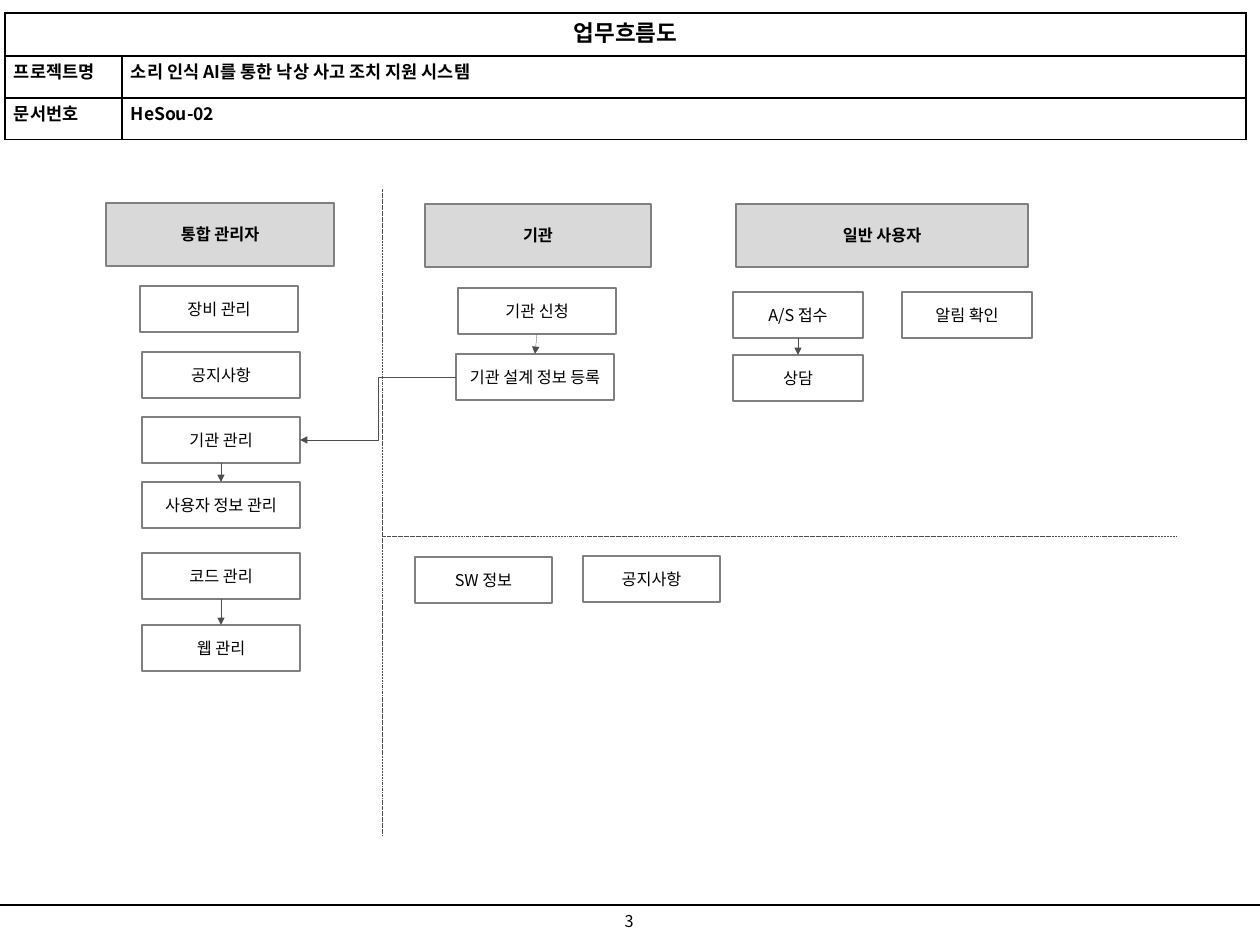
import pptx
import pptx.util
import pptx.dml.color
import pptx.enum.dml
import pptx.enum.shapes
import pptx.enum.text
import pptx.oxml
import pptx.oxml.ns

PX = 10160  # 90 px to the inch
FONT = "Noto Sans CJK KR"
COLORS = {"ink": "000000", "paper": "FFFFFF", "header": "D9D9D9",
          "border": "808080", "arrow": "4D4D4D"}

TITLE = "업무흐름도"
DOC_INFO = [("프로젝트명", "소리 인식 AI를 통한 낙상 사고 조치 지원 시스템"),
            ("문서번호", "HeSou-02")]
TABLE_POS, COL_WIDTHS, ROW_HEIGHTS = (5, 13), (117, 1124), (43, 42, 42)

HEADER_H, STEP_H = 63, 46
# text, left, top, width
HEADERS = [("통합 관리자", 106, 203, 228),
           ("기관", 425, 204, 226),
           ("일반 사용자", 736, 204, 292)]
# key: text, left, top, width
STEPS = {
    "device": ("장비 관리", 140, 286, 158),
    "admin_notice": ("공지사항", 142, 352, 158),
    "agency": ("기관 관리", 142, 417, 158),
    "user_info": ("사용자 정보 관리", 142, 482, 158),
    "code": ("코드 관리", 142, 553, 158),
    "web": ("웹 관리", 142, 625, 158),
    "apply": ("기관 신청", 458, 288, 158),
    "register": ("기관 설계 정보 등록", 456, 354, 158),
    "service": ("A/S 접수", 733, 292, 130),
    "consult": ("상담", 733, 355, 130),
    "alarm": ("알림 확인", 902, 292, 130),
    "software": ("SW 정보", 415, 557, 137),
    "notice": ("공지사항", 583, 556, 137),
}
TOP, LEFT, BOTTOM, RIGHT = range(4)
FLOWS = [("agency", BOTTOM, "user_info", TOP),
         ("code", BOTTOM, "web", TOP),
         ("apply", BOTTOM, "register", TOP),
         ("service", BOTTOM, "consult", TOP),
         ("register", LEFT, "agency", RIGHT)]
DIVIDERS = [(382, 189, 382, 836), (382, 536, 1176, 536)]
FOOTER_Y, PAGE_NUMBER = 905, "3"


def rgb(name):
    return pptx.dml.color.RGBColor.from_string(COLORS[name])


def px(*values):
    """Turn px lengths into EMU."""
    return [pptx.util.Emu(v * PX) for v in values]


def element(tag, attributes="", body=""):
    """Make one DrawingML element."""
    ns = pptx.oxml.ns.nsdecls("a")
    return pptx.oxml.parse_xml(f"<a:{tag} {ns} {attributes}>{body}</a:{tag}>")


def write(tf, text, size, bold=False, centered=True):
    p = tf.paragraphs[0]
    if centered:
        p.alignment = pptx.enum.text.PP_ALIGN.CENTER
    r = p.add_run()
    r.text = text
    r.font.size = pptx.util.Pt(size)
    r.font.bold = bold
    r.font.name = FONT
    r.font.color.rgb = rgb("ink")
    latin = r.font._element.find(pptx.oxml.ns.qn("a:latin"))
    latin.addnext(element("ea", f'typeface="{FONT}"'))


def add_box(s, text, x, y, w, h, fill, bold=False):
    sp = s.shapes.add_shape(pptx.enum.shapes.MSO_SHAPE.RECTANGLE, *px(x, y, w, h))
    sp.shadow.inherit = False
    sp.fill.solid()
    sp.fill.fore_color.rgb = rgb(fill)
    sp.line.color.rgb = rgb("border")
    sp.line.width = pptx.util.Pt(1)
    tf = sp.text_frame
    tf.word_wrap = False
    tf.vertical_anchor = pptx.enum.text.MSO_ANCHOR.MIDDLE
    write(tf, text, 13, bold)
    return sp


def add_line(s, points=(0, 0, 0, 0), color="arrow", width=0.25, elbow=False):
    kinds = pptx.enum.shapes.MSO_CONNECTOR
    line = s.shapes.add_connector(kinds.ELBOW if elbow else kinds.STRAIGHT, *px(*points))
    line.line.color.rgb = rgb(color)
    line.line.width = pptx.util.Pt(width)
    line._element.spPr.append(element("effectLst"))
    return line


def add_flow(s, start, start_side, end, end_side):
    line = add_line(s, elbow=start_side == LEFT)
    line.begin_connect(start, start_side)
    line.end_connect(end, end_side)
    line.line._get_or_add_ln().append(element("tailEnd", 'type="triangle"'))


def style_cell(cell):
    tc_pr = cell._tc.get_or_add_tcPr()
    stroke = f'<a:solidFill><a:srgbClr val="{COLORS["ink"]}"/></a:solidFill>'
    for side in "LRTB":
        tc_pr.append(element(f"ln{side}", 'w="12700"', stroke))
    cell.fill.solid()
    cell.fill.fore_color.rgb = rgb("paper")
    cell.margin_left, cell.margin_right, cell.margin_top, cell.margin_bottom = px(9, 9, 2, 2)


def add_doc_table(s):
    frame = s.shapes.add_table(len(ROW_HEIGHTS), len(COL_WIDTHS),
                               *px(*TABLE_POS, sum(COL_WIDTHS), sum(ROW_HEIGHTS)))
    table = frame.table
    for column, width in zip(table.columns, px(*COL_WIDTHS)):
        column.width = width
    for row, height in zip(table.rows, px(*ROW_HEIGHTS)):
        row.height = height
    for cell in table.iter_cells():
        style_cell(cell)
    table.cell(0, 0).merge(table.cell(0, 1))
    write(table.cell(0, 0).text_frame, TITLE, 18, bold=True)
    for i, row in enumerate(DOC_INFO, 1):
        for j, text in enumerate(row):
            write(table.cell(i, j).text_frame, text, 14, bold=True, centered=False)


def add_footer(s):
    add_line(s, (0, FOOTER_Y, 1260, FOOTER_Y), "ink", 1)
    tf = s.shapes.add_textbox(*px(605, FOOTER_Y, 48, 32)).text_frame
    tf.word_wrap = False
    tf.margin_left, tf.margin_right, tf.margin_top, tf.margin_bottom = px(12, 12, 6, 6)
    write(tf, PAGE_NUMBER, 13)


def main():
    prs = pptx.Presentation()
    prs.slide_width, prs.slide_height = px(1260, 945)
    s = prs.slides.add_slide(prs.slide_layouts[6])
    add_footer(s)
    add_doc_table(s)
    for points in DIVIDERS:
        add_line(s, points).line.dash_style = pptx.enum.dml.MSO_LINE.DASH_DOT_DOT
    for text, x, y, w in HEADERS:
        add_box(s, text, x, y, w, HEADER_H, "header", bold=True)
    steps = {key: add_box(s, text, x, y, w, STEP_H, "paper")
             for key, (text, x, y, w) in STEPS.items()}
    for start, start_side, end, end_side in FLOWS:
        add_flow(s, steps[start], start_side, steps[end], end_side)
    prs.save("out.pptx")


if __name__ == "__main__":
    main()
